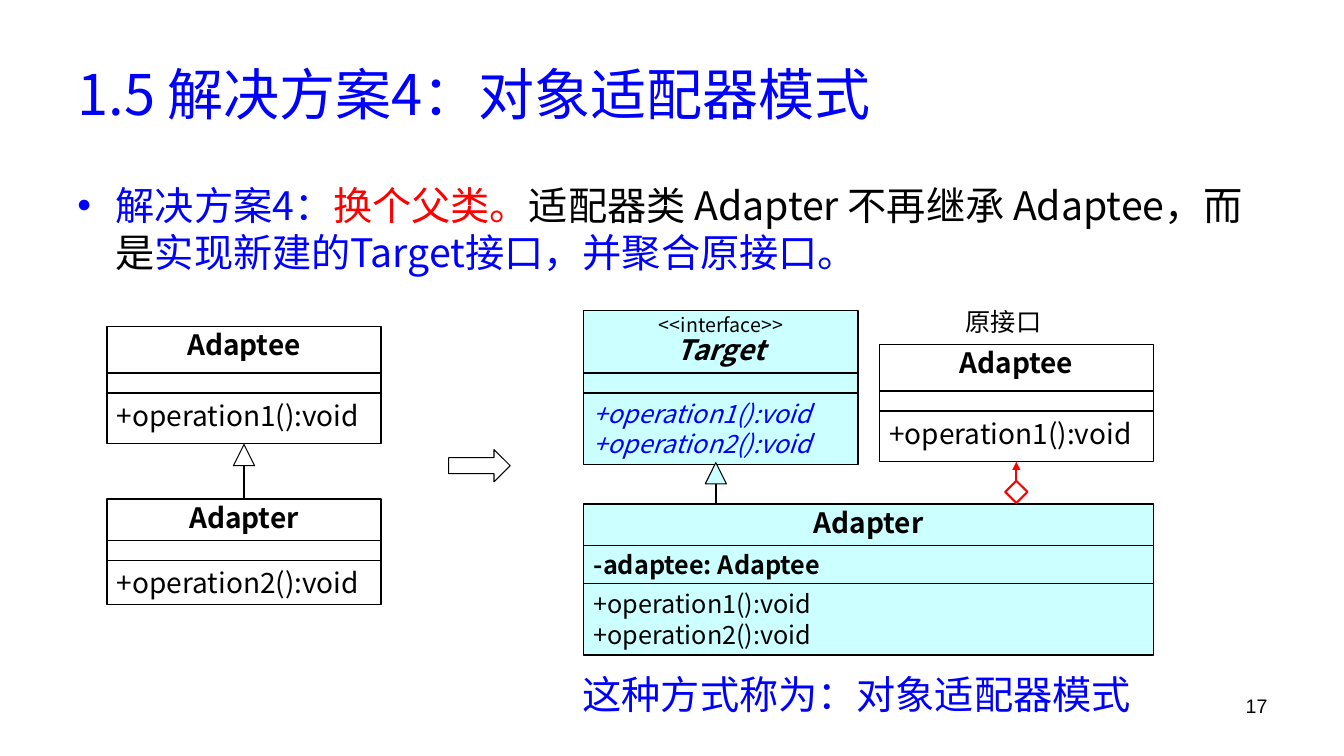
import pptx
import pptx.dml.color
import pptx.enum.shapes
import pptx.enum.text
import pptx.oxml.ns
import pptx.util

Inches = pptx.util.Inches
Pt = pptx.util.Pt
SHAPE = pptx.enum.shapes.MSO_SHAPE
ALIGN = pptx.enum.text.PP_ALIGN
ANCHOR = pptx.enum.text.MSO_ANCHOR

COLORS = {
    "black": "000000",
    "blue": "0000FF",
    "red": "FF0000",
    "white": "FFFFFF",
    "cyan": "CCFFFF",
}
CJK = "Noto Sans CJK SC"


def rgb(name):
    return pptx.dml.color.RGBColor.from_string(COLORS[name])


def add_child(parent, tag, **attrs):
    parent.append(parent.makeelement(pptx.oxml.ns.qn(tag), attrs))


def para(text, size=20, color="black", bold=False, italic=False,
         align=ALIGN.LEFT, spacing=None, font=CJK, bullet=False):
    """Describe a paragraph; text is a string or a list of (string, color)."""
    return dict(text=text, size=size, color=color, bold=bold, italic=italic,
                align=align, spacing=spacing, font=font, bullet=bullet)


def heading(text, **style):
    """Describe a centred class-name line."""
    return para(text, align=ALIGN.CENTER, spacing=0.9, **style)


class SlideBuilder:
    def __init__(self, slide):
        self.slide = slide

    def fill_text(self, tf, paras, anchor=ANCHOR.TOP, wrap=True):
        tf.word_wrap = wrap
        tf.vertical_anchor = anchor
        for i, style in enumerate(paras):
            p = tf.add_paragraph() if i else tf.paragraphs[0]
            self.fill_paragraph(p, **style)

    def fill_paragraph(self, p, text, size, color, bold, italic, align,
                       spacing, font, bullet):
        p.alignment = align
        if spacing:
            p.line_spacing = spacing
        if bullet:
            pPr = p._p.get_or_add_pPr()
            pPr.set("marL", str(Inches(0.38)))
            pPr.set("indent", str(-Inches(0.38)))
            add_child(pPr, "a:buFont", typeface="Arial")
            add_child(pPr, "a:buChar", char="•")
        f = p.font
        f.size, f.bold, f.italic, f.name = Pt(size), bold, italic, font
        f.color.rgb = rgb(color)
        add_child(f._element, "a:ea", typeface=font)
        if isinstance(text, str):
            p.add_run().text = text
            return
        for part, part_color in text:
            r = p.add_run()
            r.text = part
            r.font.color.rgb = rgb(part_color)

    def text(self, x, y, w, h, paras, **layout):
        s = self.slide.shapes.add_textbox(Inches(x), Inches(y), Inches(w), Inches(h))
        self.fill_text(s.text_frame, paras, **layout)

    def shape(self, kind, x, y, w, h, fill=None, line="black", width=1.0,
              paras=(), **layout):
        s = self.slide.shapes.add_shape(kind, Inches(x), Inches(y), Inches(w), Inches(h))
        s.shadow.inherit = False
        if fill:
            s.fill.solid()
            s.fill.fore_color.rgb = rgb(fill)
        else:
            s.fill.background()
        s.line.color.rgb = rgb(line)
        s.line.width = Pt(width)
        self.fill_text(s.text_frame, paras, **layout)

    def line(self, x, y1, y2, color="black", width=1.0, head=False):
        """Draw a vertical line, with an optional arrowhead at its top."""
        c = self.slide.shapes.add_connector(
            pptx.enum.shapes.MSO_CONNECTOR.STRAIGHT,
            Inches(x), Inches(y1), Inches(x), Inches(y2))
        c.line.color.rgb = rgb(color)
        c.line.width = Pt(width)
        spPr = c._element.spPr
        if head:
            add_child(spPr.get_or_add_ln(), "a:headEnd", type="triangle")
        add_child(spPr, "a:effectLst")

    def uml_class(self, x, y, w, heights, name, fields, methods, fill=None):
        """Stack the name, field and method compartments of a class."""
        anchors = (ANCHOR.TOP, ANCHOR.MIDDLE, ANCHOR.TOP)
        for h, paras, anchor in zip(heights, (name, fields, methods), anchors):
            self.shape(SHAPE.RECTANGLE, x, y, w, h, fill, paras=paras, anchor=anchor)
            y += h

    def inheritance(self, x, top, bottom, fill):
        size = 0.21
        self.shape(SHAPE.ISOSCELES_TRIANGLE, x - size / 2, top, size, size, fill, width=0.75)
        self.line(x, top + size, bottom)


def main():
    prs = pptx.Presentation()
    prs.slide_width, prs.slide_height = Inches(13.33), Inches(7.5)
    b = SlideBuilder(prs.slides.add_slide(prs.slide_layouts[6]))

    b.text(0.67, 0.3, 12, 1.25,
           [para("1.5 解决方案4：对象适配器模式", 40, "blue")], anchor=ANCHOR.MIDDLE)
    b.text(0.67, 1.75, 12, 1.1, [para([
        ("解决方案4：", "blue"),
        ("换个父类。", "red"),
        ("适配器类 Adapter 不再继承 Adaptee，而是", "black"),
        ("实现新建的Target接口，并聚合原接口。", "blue"),
    ], 28, "blue", bullet=True)])
    b.text(9.56, 6.83, 3.11, 0.52,
           [para("17", 14, align=ALIGN.RIGHT, font="Arial")])

    operations = ("+operation1():void", "+operation2():void")
    adaptee = [heading("Adaptee", bold=True)]
    adapter = [heading("Adapter", bold=True)]
    class_w = 2.72

    for x, y in ((1.06, 3.24), (8.72, 3.42)):
        b.uml_class(x, y, class_w, (0.46, 0.2, 0.5), adaptee, (), [para(operations[0])])
    b.uml_class(1.06, 4.95, class_w, (0.41, 0.2, 0.44), adapter, (), [para(operations[1])])
    b.inheritance(2.42, 4.41, 4.95, "white")

    b.shape(SHAPE.RIGHT_ARROW, 4.45, 4.46, 0.61, 0.32, "white", width=0.75)

    b.uml_class(5.79, 5, 5.65, (0.41, 0.38, 0.71), adapter,
                [para("-adaptee: Adaptee", 18, bold=True)],
                [para(op, 18) for op in operations], "cyan")
    b.uml_class(5.79, 3.08, class_w, (0.62, 0.2, 0.71),
                [heading("<<interface>>", size=14),
                 heading("Target", bold=True, italic=True)], (),
                [para(op, 18, "blue", italic=True) for op in operations], "cyan")
    b.inheritance(7.1, 4.59, 5, "cyan")

    b.line(10.08, 4.58, 4.77, "red", 1.5, head=True)
    b.shape(SHAPE.DIAMOND, 9.97, 4.77, 0.22, 0.22, "white", "red", 1.5)
    b.text(9.48, 2.99, 0.96, 0.4, [para("原接口", 18)], wrap=False)
    b.text(5.68, 6.6, 5.75, 0.57, [para("这种方式称为：对象适配器模式", 28, "blue")])

    prs.save("out.pptx")


if __name__ == "__main__":
    main()
